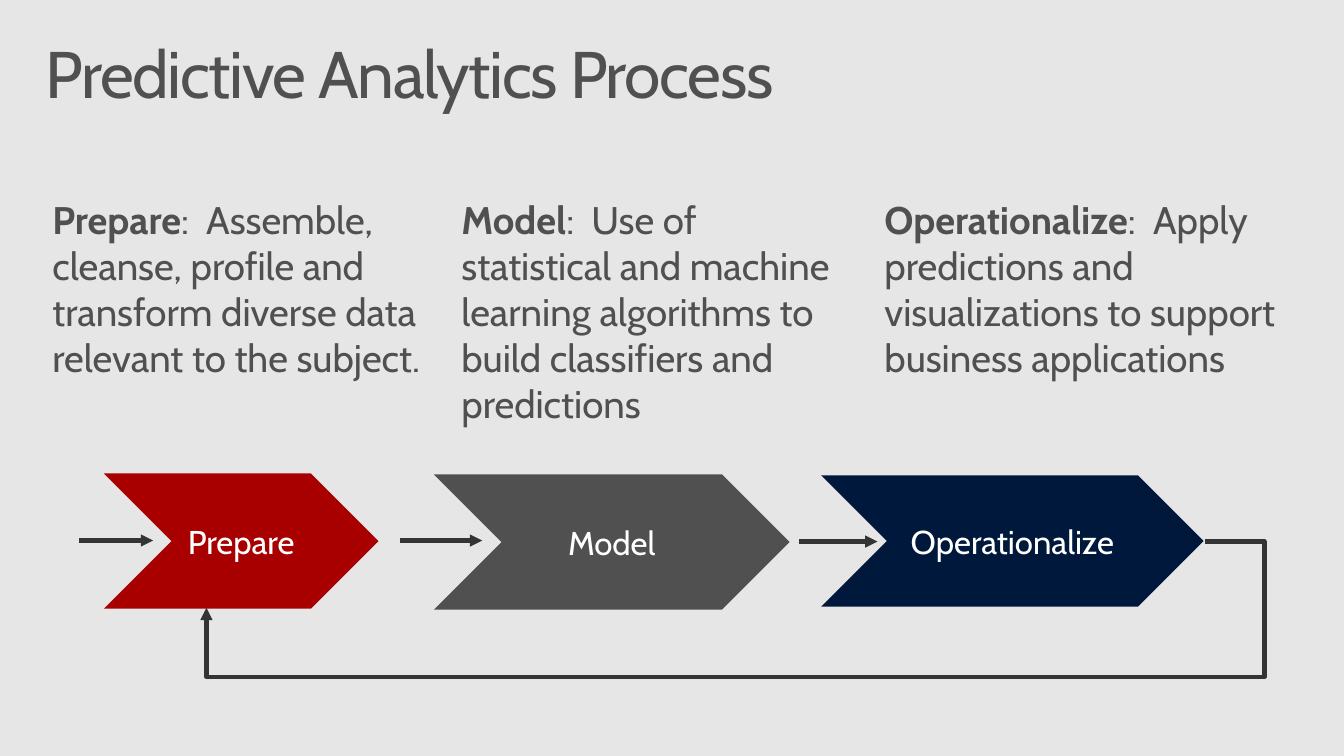
from lxml.etree import SubElement
from pptx import Presentation
from pptx.dml.color import RGBColor
from pptx.enum.shapes import MSO_CONNECTOR as Conn, MSO_SHAPE as Shape
from pptx.enum.text import MSO_ANCHOR as Anchor, MSO_AUTO_SIZE as Fit, PP_ALIGN as Align
from pptx.oxml.ns import qn
from pptx.util import Inches, Pt


def write(box, *parts, size=28, color="505050", align=Align.LEFT,
          anchor=Anchor.TOP, inset=(0.16, 0.1), lead=1.0, track=0):
    frame = box.text_frame
    frame.word_wrap = True
    frame.auto_size = Fit.NONE
    frame.vertical_anchor = anchor
    frame.margin_left = frame.margin_right = Inches(inset[0])
    frame.margin_top = frame.margin_bottom = Inches(inset[1])
    para = frame.paragraphs[0]
    para.alignment = align
    para.line_spacing = lead
    for text, bold in parts:
        run = para.add_run()
        run.text = text
        font = run.font
        font.name = "Cabin"
        font.size = Pt(size)
        font.bold = bold
        font.color.rgb = RGBColor.from_string(color)
        if track:
            run._r.get_or_add_rPr().set("spc", str(track * 100))


def arrow(kind, x1, y1, x2, y2):
    link = slide.shapes.add_connector(kind, Inches(x1), Inches(y1), Inches(x2), Inches(y2))
    link.line.color.rgb = RGBColor.from_string("343434")
    link.line.width = Pt(3)
    SubElement(link.line._get_or_add_ln(), qn("a:tailEnd"), type="triangle")
    SubElement(link._element.spPr, qn("a:effectLst"))
    return link


deck = Presentation()
deck.slide_width = Inches(13.6)
deck.slide_height = Inches(7.65)
slide = deck.slides.add_slide(deck.slide_layouts[5])
back = slide.background.fill
back.solid()
back.fore_color.rgb = RGBColor.from_string("E6E6E6")

title = slide.shapes.title
title.left, title.top = Inches(0.3), Inches(0.32)
title.width, title.height = Inches(13), Inches(1)
write(title, ("Predictive Analytics Process", False), size=48, lead=0.9, track=-1)

notes = [
    ("Prepare", "Assemble, cleanse, profile and transform diverse data relevant to the subject.",
     0.37, 4.75, 2.13),
    ("Model", "Use of statistical and machine learning algorithms to build classifiers and predictions",
     4.51, 4.14, 2.6),
    ("Operationalize", "Apply predictions and visualizations to support business applications",
     8.79, 4.75, 2.13),
]
for name, text, left, width, height in notes:
    box = slide.shapes.add_textbox(Inches(left), Inches(1.88), Inches(width), Inches(height))
    write(box, (name, True), (":  " + text, False))

steps = [
    ("Prepare", "A80000", 1.05, 4.79, 2.78, 1.37, 0),
    ("Model", "505050", 4.39, 4.8, 3.6, 1.37, 0.1),
    ("Operationalize", "00183C", 8.31, 4.81, 3.87, 1.33, 0.1),
]
for name, color, left, top, width, height, pad in steps:
    step = slide.shapes.add_shape(
        Shape.CHEVRON, Inches(left), Inches(top), Inches(width), Inches(height))
    step.shadow.inherit = False
    step.fill.solid()
    step.fill.fore_color.rgb = RGBColor.from_string(color)
    step.line.fill.background()
    write(step, (name, False), size=24, color="FFFFFF", align=Align.CENTER,
          anchor=Anchor.MIDDLE, inset=(pad, pad / 2))

for start, end, y in [(0.8, 1.55, 5.47), (4.05, 4.88, 5.47), (8.09, 8.88, 5.48)]:
    arrow(Conn.STRAIGHT, start, y, end, y)

loop = arrow(Conn.ELBOW, 12.19, 5.48, 2.09, 6.15)
geom = loop._element.spPr.find(qn("a:prstGeom"))
geom.set("prst", "bentConnector4")
bends = geom.find(qn("a:avLst"))
for name, share in [("adj1", -6000), ("adj2", 204500)]:
    SubElement(bends, qn("a:gd"), name=name, fmla=f"val {share}")

deck.save("out.pptx")
